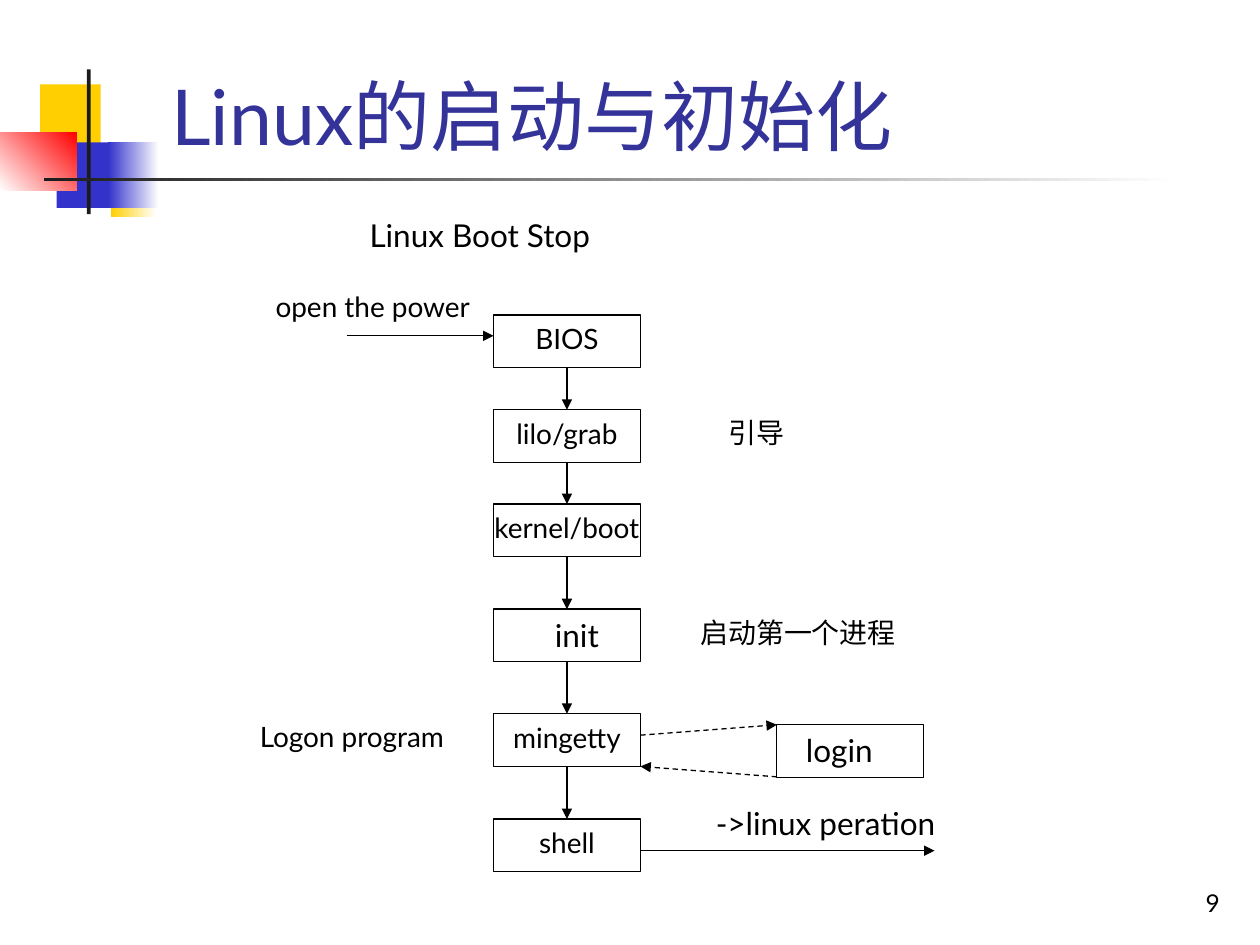
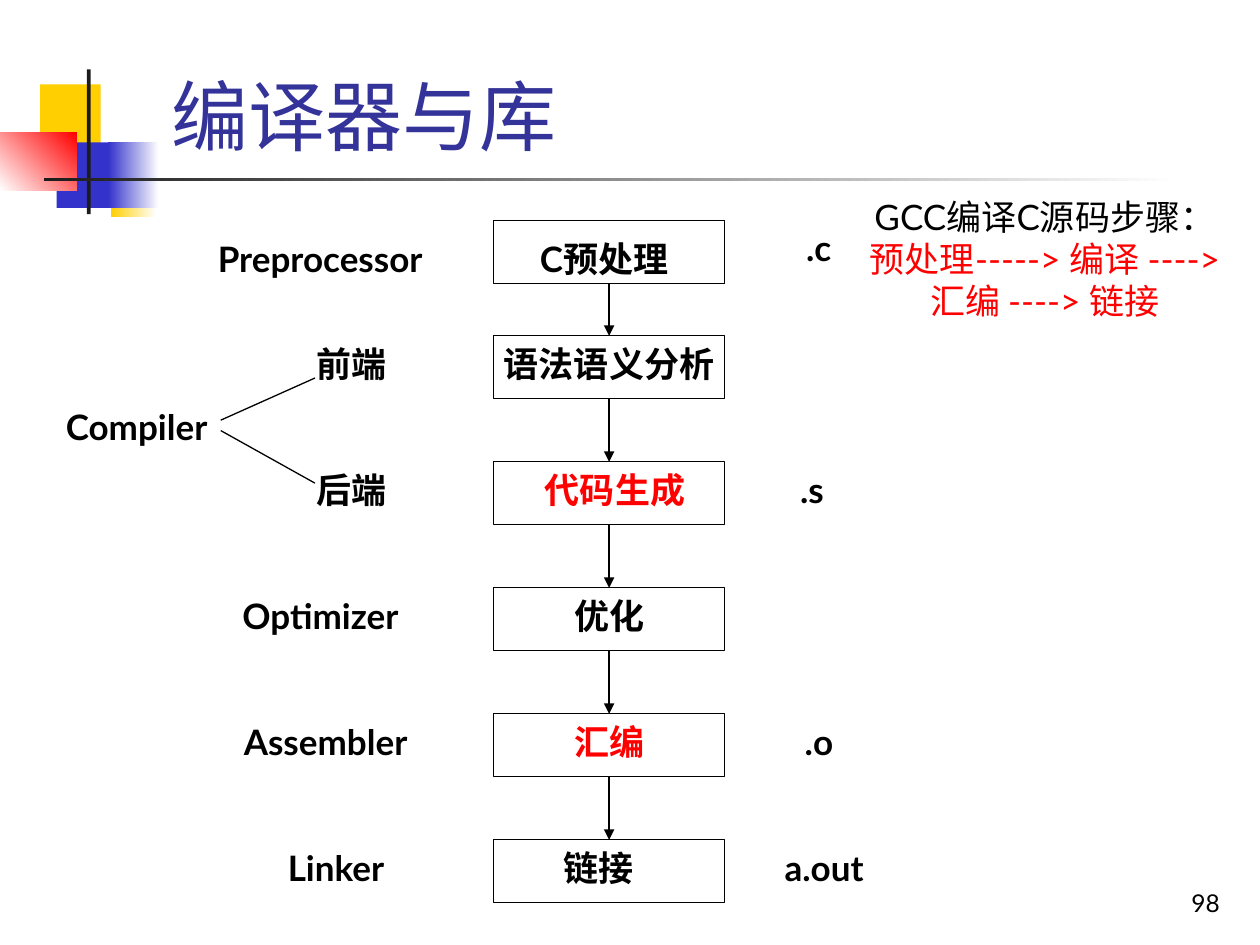
from dataclasses import dataclass
from itertools import pairwise

from lxml import etree
from pptx import Presentation
from pptx.dml.color import RGBColor
from pptx.enum.dml import MSO_LINE
from pptx.enum.shapes import MSO_CONNECTOR, MSO_SHAPE
from pptx.enum.text import MSO_ANCHOR, MSO_AUTO_SIZE, PP_ALIGN
from pptx.oxml.ns import qn
from pptx.util import Cm, Pt

LEFT, CENTER, RIGHT = PP_ALIGN.LEFT, PP_ALIGN.CENTER, PP_ALIGN.RIGHT
TOP, MIDDLE, BOTTOM = MSO_ANCHOR.TOP, MSO_ANCHOR.MIDDLE, MSO_ANCHOR.BOTTOM
RECTANGLE, PROCESS = MSO_SHAPE.RECTANGLE, MSO_SHAPE.FLOWCHART_PROCESS
STRAIGHT, DASH = MSO_CONNECTOR.STRAIGHT, MSO_LINE.DASH
SITE_TOP, SITE_BOTTOM = 0, 2
TITLE_ONLY = 5

FONT = "Lato"
COLORS = {
    "white": "FFFFFF",
    "black": "000000",
    "red": "FF0000",
    "title": "333399",
    "yellow": "FFCF01",
    "blue": "3333CC",
    "charcoal": "1C1C1C",
}


@dataclass
class Band:
    """A decorative block; with an end colour it becomes a gradient."""
    left: float
    top: float
    width: float
    height: float
    color: str
    end_color: str = ""
    angle: float = 180


@dataclass
class Style:
    size: float
    bold: bool = False
    color: str = "black"
    align: PP_ALIGN = CENTER


@dataclass
class Label:
    text: str
    left: float
    top: float
    width: float
    style: Style


@dataclass
class Step:
    """A flow box; shift moves its text sideways, drop moves it down."""
    text: str
    left: float
    top: float
    style: Style
    shift: float = 0
    drop: float = 0.13


@dataclass
class StepKind:
    shape_type: MSO_SHAPE
    width: float
    height: float


@dataclass
class Line:
    start: tuple[float, float]
    end: tuple[float, float]
    arrow: bool = True
    dashed: bool = False


BANDS = [
    Band(0.81, 1.7, 1.22, 1.32, "yellow"),
    Band(2.24, 3.05, 0.91, 1.32, "white", "yellow"),
    Band(1.14, 2.87, 1.17, 1.32, "blue"),
    Band(2.18, 2.87, 1.02, 1.32, "white", "blue"),
    Band(0, 2.67, 1.55, 1.17, "red", "white", 225),
    Band(1.75, 1.4, 0.08, 2.92, "charcoal"),
    Band(0.89, 3.58, 22.86, 0.08, "white", "charcoal"),
]

FLOW_LEFT = 9.95
BOOT_KIND = StepKind(PROCESS, 2.96, 1.06)
COMPILE_KIND = StepKind(RECTANGLE, 4.66, 1.27)
COMPILE_TOPS = [4.45] + [6.77 + 2.54 * row for row in range(5)]

SMALL, MEDIUM = Style(16), Style(18)
MEDIUM_LEFT = Style(18, align=LEFT)
BOLD, BOLD_LEFT = Style(20, True), Style(20, True, align=LEFT)
BOLD_RED = Style(20, True, "red")

BOOT_STEPS = [
    Step("BIOS", FLOW_LEFT, 6.35, SMALL),
    Step("lilo/grab", FLOW_LEFT, 8.26, SMALL),
    Step("kernel/boot", FLOW_LEFT, 10.16, SMALL),
    Step("init", FLOW_LEFT, 12.28, MEDIUM, shift=0.2),
    Step("mingetty", FLOW_LEFT, 14.39, SMALL),
    Step("shell", FLOW_LEFT, 16.51, SMALL),
]
LOGIN_STEP = Step("login", 15.66, 14.61, MEDIUM, shift=-0.22)
BOOT_LABELS = [
    Label("Linux Boot Stop", 7.2, 4.23, 5.29, MEDIUM_LEFT),
    Label("open the power", 4.87, 5.72, 5.29, SMALL),
    Label("引导", 13.55, 8.26, 3.39, SMALL),
    Label("启动第一个进程", 13.55, 12.28, 5.08, SMALL),
    Label("Logon program", 4.45, 14.39, 5.29, SMALL),
    Label("->linux peration", 14.18, 16.09, 5.29, MEDIUM_LEFT),
]
BOOT_LINES = [
    Line((6.99, 6.77), (9.95, 6.77)),
    Line((12.91, 14.82), (15.66, 14.61), dashed=True),
    Line((15.66, 15.66), (12.91, 15.45), dashed=True),
    Line((12.91, 17.15), (18.84, 17.15)),
]

PREPROCESS, FRONT, BACK, OPTIMIZE, ASSEMBLE, LINK = COMPILE_TOPS
COMPILE_STEPS = [
    Step("C预处理", FLOW_LEFT, PREPROCESS, BOLD, shift=-0.1, drop=0.34),
    Step("语法语义分析", FLOW_LEFT, FRONT, BOLD),
    Step("代码生成", FLOW_LEFT, BACK, BOLD_RED, shift=0.12),
    Step("优化", FLOW_LEFT, OPTIMIZE, BOLD),
    Step("汇编", FLOW_LEFT, ASSEMBLE, BOLD_RED),
    Step("链接", FLOW_LEFT, LINK, BOLD, shift=-0.22),
]
COMPILE_LABELS = [
    Label("Preprocessor", 3.81, 4.66, 5.29, BOLD),
    Label("Compiler", 0.64, 8.04, 4.23, BOLD),
    Label("前端", 5.93, FRONT, 2.33, BOLD),
    Label("后端", 6.14, BACK, 2.33, BOLD_LEFT),
    Label("Optimizer", 4.45, OPTIMIZE, 4.02, BOLD),
    Label("Assembler", 4.45, ASSEMBLE, 4.23, BOLD),
    Label("Linker", 4.66, LINK, 4.23, BOLD),
    Label(".c", 15.66, PREPROCESS, 1.69, BOLD),
    Label(".s", 15.88, BACK, 1.27, BOLD_LEFT),
    Label(".o", 15.45, ASSEMBLE, 2.12, BOLD),
    Label("a.out", 15.24, LINK, 2.75, BOLD),
]
COMPILE_LINES = [
    Line((6.35, 7.62), (4.45, 8.47), arrow=False),
    Line((4.45, 8.68), (6.35, 9.74), arrow=False),
]


def rgb(name: str) -> RGBColor:
    return RGBColor.from_string(COLORS[name])


def format_paragraph(paragraph, style: Style) -> None:
    paragraph.alignment = style.align
    for run in paragraph.runs:
        run.font.name = FONT
        run.font.size = Pt(style.size)
        run.font.bold = style.bold
        run.font.color.rgb = rgb(style.color)


def write_text(shape, text: str, style: Style, anchor=TOP, wrap: bool = True) -> None:
    text_frame = shape.text_frame
    text_frame.text = text
    text_frame.word_wrap = wrap
    text_frame.vertical_anchor = anchor
    for paragraph in text_frame.paragraphs:
        format_paragraph(paragraph, style)


def add_band(slide, band: Band) -> None:
    shape = slide.shapes.add_shape(
        RECTANGLE, Cm(band.left), Cm(band.top), Cm(band.width), Cm(band.height))
    shape.shadow.inherit = False
    shape.line.fill.background()
    if band.end_color:
        shape.fill.gradient()
        shape.fill.gradient_angle = band.angle
        for stop, color in zip(shape.fill.gradient_stops, (band.color, band.end_color)):
            stop.color.rgb = rgb(color)
    else:
        shape.fill.solid()
        shape.fill.fore_color.rgb = rgb(band.color)


def add_label(slide, label: Label, height: float = 1.0, anchor=TOP):
    box = slide.shapes.add_textbox(
        Cm(label.left), Cm(label.top), Cm(label.width), Cm(height))
    write_text(box, label.text, label.style, anchor)
    return box


def add_step(slide, step: Step, kind: StepKind):
    shape = slide.shapes.add_shape(
        kind.shape_type, Cm(step.left), Cm(step.top), Cm(kind.width), Cm(kind.height))
    shape.shadow.inherit = False
    shape.fill.solid()
    shape.fill.fore_color.rgb = rgb("white")
    shape.line.color.rgb = rgb("black")
    shape.line.width = Pt(0.75)
    write_text(shape, step.text, step.style, wrap=False)
    text_frame = shape.text_frame
    text_frame.margin_left = Cm(max(0, 2 * step.shift))
    text_frame.margin_right = Cm(max(0, -2 * step.shift))
    text_frame.margin_top = Cm(step.drop)
    text_frame.margin_bottom = 0
    return shape


def add_line(slide, line: Line):
    connector = slide.shapes.add_connector(
        STRAIGHT, *(Cm(value) for value in line.start + line.end))
    connector.line.color.rgb = rgb("black")
    connector.line.width = Pt(0.75)
    if line.dashed:
        connector.line.dash_style = DASH
    properties = connector.element.spPr
    if line.arrow:
        etree.SubElement(properties.find(qn("a:ln")), qn("a:tailEnd"), type="triangle")
    etree.SubElement(properties, qn("a:effectLst"))
    return connector


def add_flow(slide, steps: list[Step], kind: StepKind) -> None:
    """Draw the steps and join each one to the next by an arrow."""
    shapes = [add_step(slide, step, kind) for step in steps]
    for upper, lower in pairwise(shapes):
        connector = add_line(slide, Line((0, 0), (0, 0)))
        connector.begin_connect(upper, SITE_BOTTOM)
        connector.end_connect(lower, SITE_TOP)


def add_base_slide(presentation, title_text: str, number: str):
    """Add a slide with its title, decorative bands and page number."""
    slide = presentation.slides.add_slide(presentation.slide_layouts[TITLE_ONLY])
    for band in BANDS:
        add_band(slide, band)
    title = slide.shapes.title
    title.left, title.top = Cm(3.2), Cm(0.58)
    title.width, title.height = Cm(21.64), Cm(2.79)
    write_text(title, title_text, Style(44, color="title", align=LEFT), BOTTOM)
    title.text_frame.auto_size = MSO_AUTO_SIZE.NONE
    page_number = Label(number, 19.56, 17.35, 5.28, Style(14, align=RIGHT))
    add_label(slide, page_number, 1.27, BOTTOM)
    return slide


def add_details(slide, labels: list[Label], lines: list[Line]) -> None:
    for label in labels:
        add_label(slide, label)
    for line in lines:
        add_line(slide, line)


def build_boot_slide(presentation) -> None:
    slide = add_base_slide(presentation, "Linux的启动与初始化", "9")
    add_flow(slide, BOOT_STEPS, BOOT_KIND)
    add_step(slide, LOGIN_STEP, BOOT_KIND)
    add_details(slide, BOOT_LABELS, BOOT_LINES)


def build_compiler_slide(presentation) -> None:
    slide = add_base_slide(presentation, "编译器与库", "98")
    add_flow(slide, COMPILE_STEPS, COMPILE_KIND)
    add_details(slide, COMPILE_LABELS, COMPILE_LINES)
    summary = Label("GCC编译C源码步骤：\n预处理-----> 编译 ----> 汇编 ----> 链接",
                    17.15, 3.81, 7.83, Style(20))
    summary_box = add_label(slide, summary, 2.79, MIDDLE)
    summary_box.text_frame.auto_size = MSO_AUTO_SIZE.SHAPE_TO_FIT_TEXT
    format_paragraph(summary_box.text_frame.paragraphs[1], Style(20, color="red"))


def main() -> None:
    presentation = Presentation()
    presentation.slide_width, presentation.slide_height = Cm(25.4), Cm(19.05)
    build_boot_slide(presentation)
    build_compiler_slide(presentation)
    presentation.save("out.pptx")


if __name__ == "__main__":
    main()
